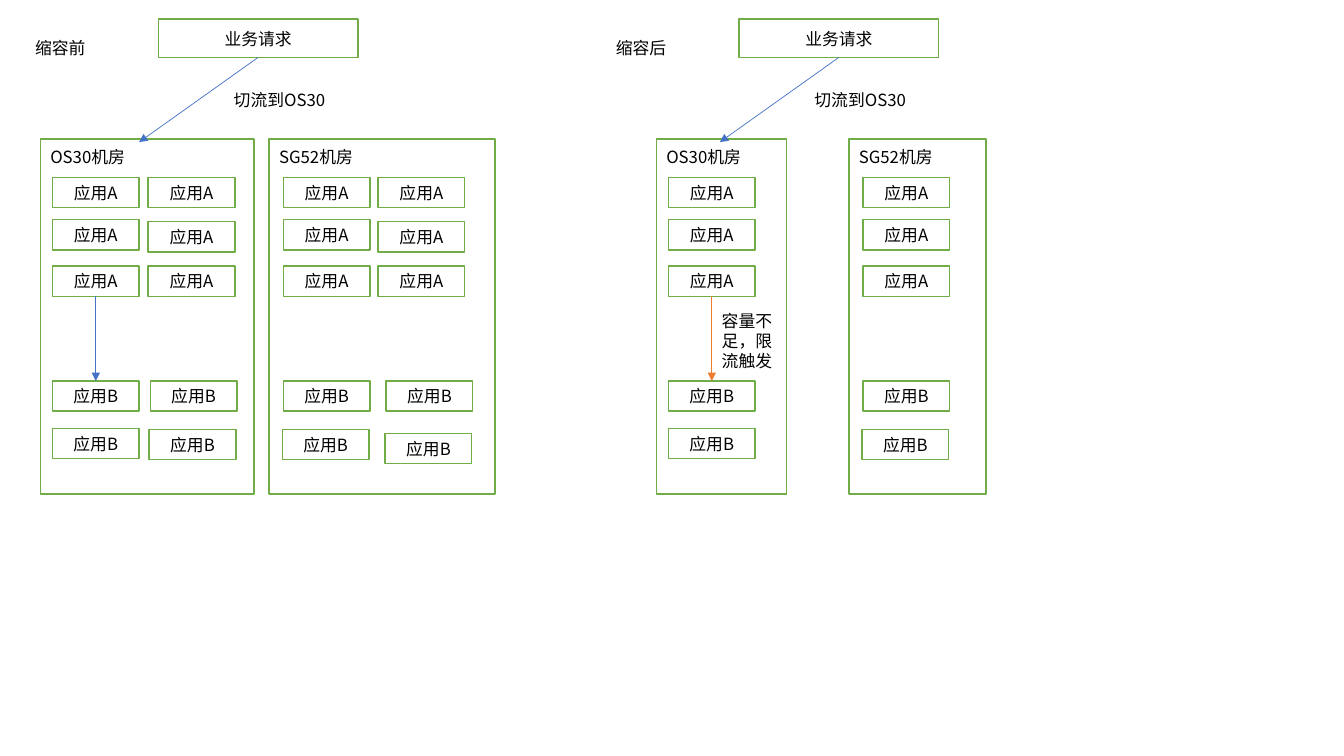
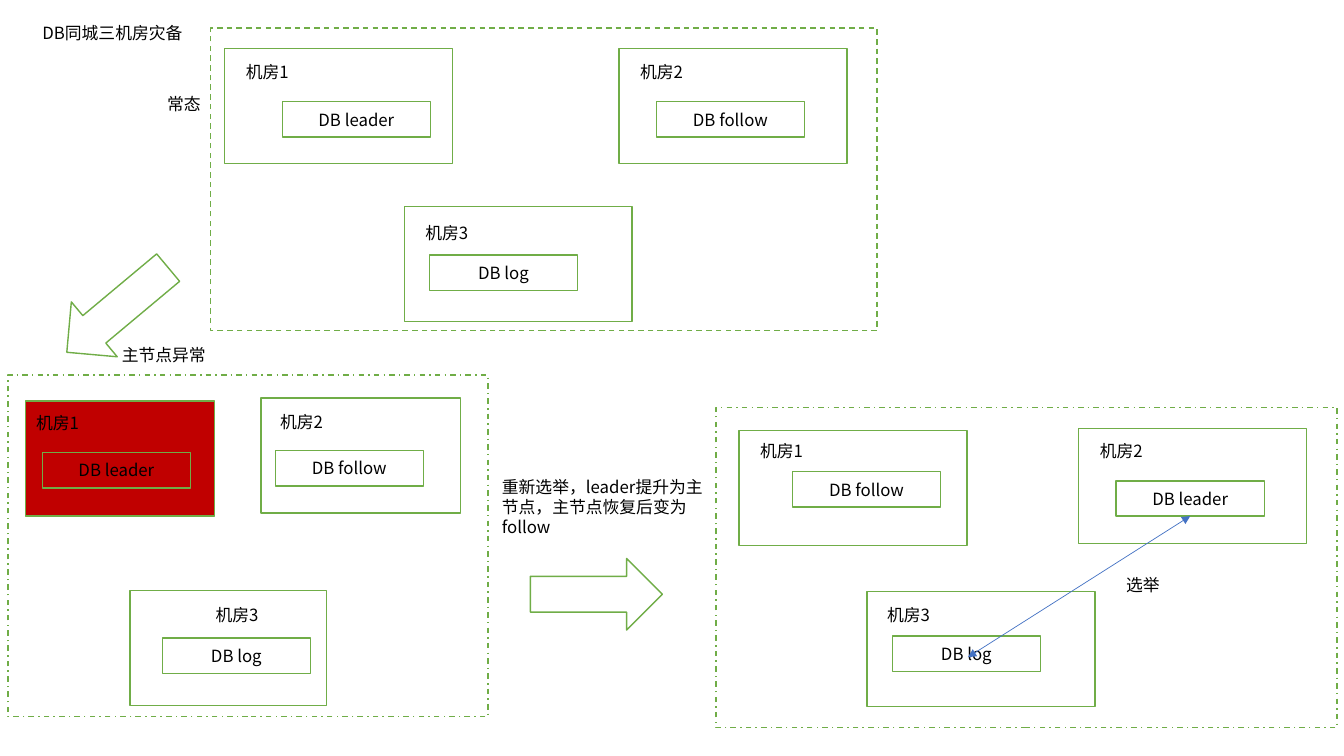
from lxml.etree import SubElement
from pptx import Presentation
from pptx.dml.color import RGBColor as RGB
from pptx.enum.dml import MSO_LINE as Dash
from pptx.enum.shapes import MSO_CONNECTOR as Conn, MSO_SHAPE as Kind
from pptx.enum.text import MSO_ANCHOR as Anchor, MSO_AUTO_SIZE as Fit, PP_ALIGN as Align
from pptx.oxml.ns import qn
from pptx.util import Emu, Pt

PX = 9144
FONT = "Noto Sans CJK SC"
WHITE = RGB(0xFF, 0xFF, 0xFF)
BLACK = RGB(0, 0, 0)
GREEN = RGB(0x70, 0xAD, 0x47)
BLUE = RGB(0x44, 0x72, 0xC4)
ORANGE = RGB(0xED, 0x7D, 0x31)
RED = RGB(0xC0, 0, 0)

TITLE_ONLY, BLANK = 5, 6
SHIFT = 576
ROWS = (176, 218, 264), (176, 220, 264)
OS = "OS30机房", (
    (12, ((12, 378), (12, 425))),
    (107, ((109, 378), (108, 426))),
)
SG = "SG52机房", (
    (14, ((14, 378), (13, 426))),
    (108, ((116, 378), (115, 430))),
)
ZONES = (
    ((710, 404, 616, 318), Dash.DASH_DOT),
    ((8, 372, 476, 339), Dash.DASH_DOT),
    ((209, 28, 661, 300), Dash.DASH),
)
SITES = (
    ("机房1", (223, 48, 226), (234, 56), "DB leader", (280, 101), WHITE),
    ("机房2", (614, 48, 226), (625, 56), "DB follow", (651, 101), WHITE),
    ("机房3", (401, 205, 226), (412, 216), "DB log", (426, 253), WHITE),
    ("机房1", (25, 398, 188), (26, 405), "DB leader", (42, 449), RED),
    ("机房2", (259, 395, 198), (268, 404), "DB follow", (273, 447), WHITE),
    ("机房3", (129, 586, 195), (204, 595), "DB log", (161, 633), WHITE),
    ("机房1", (733, 427, 226), (744, 432), "DB follow", (786, 468), WHITE),
    ("机房3", (860, 587, 226), (870, 595), "DB log", (885, 631), WHITE),
    ("机房2", (1070, 425, 226), (1081, 432), "DB leader", (1107, 477), WHITE),
)
NOTES = (
    ("常态", (156, 88, 66, 30)),
    ("重新选举，leader提升为主节点，主节点恢复后变为follow", (488, 468, 228, 71)),
    ("主节点异常", (111, 337, 118, 30)),
    ("选举", (1107, 565, 117, 30)),
)


def px(*vals):
    return [Emu(val * PX) for val in vals]


def write(frame, text, align=Align.LEFT, anchor=Anchor.TOP):
    frame.word_wrap = True
    frame.vertical_anchor = anchor
    para = frame.paragraphs[0]
    para.alignment = align
    run = para.add_run()
    run.text = text
    font = run.font
    font.size, font.name = Pt(12), FONT
    font.color.rgb = BLACK
    SubElement(font._element, qn("a:ea"), typeface=FONT)


def label(slide, text, at):
    frame = slide.shapes.add_textbox(*px(*at)).text_frame
    frame.auto_size = Fit.SHAPE_TO_FIT_TEXT
    write(frame, text)


def head(slide, text, at):
    title = slide.shapes.title
    title.left, title.top, title.width, title.height = px(*at)
    title.text_frame.auto_size = Fit.NONE
    write(title.text_frame, text)


def box(slide, at, text="", fill=WHITE, kind=Kind.RECTANGLE, dash=None):
    shape = slide.shapes.add_shape(kind, *px(*at))
    shape.shadow.inherit = False
    shape.fill.solid()
    shape.fill.fore_color.rgb = fill
    shape.line.color.rgb = GREEN
    shape.line.width = Pt(1)
    if dash:
        shape.line.dash_style = dash
    if text:
        write(shape.text_frame, text, Align.CENTER, Anchor.MIDDLE)
    return shape


def link(slide, start, end=(0, 0), goal=None, color=BLUE, both=False):
    line = slide.shapes.add_connector(Conn.STRAIGHT, *px(0, 0, *end))
    line.begin_connect(start, 2)
    if goal:
        line.end_connect(goal, 0)
    line.line.color.rgb = color
    line.line.width = Pt(0.5)
    pen = line.line._get_or_add_ln()
    for tag in ("a:headEnd", "a:tailEnd") if both else ("a:tailEnd",):
        SubElement(pen, qn(tag), type="triangle")
    SubElement(line._element.spPr, qn("a:effectLst"))


def room(slide, plan, left, width, count):
    name, cols = plan
    box(slide, (left, 138, width, 352))
    label(slide, name, (left, 141, 141, 30))
    nodes = []
    for (col, spots), rows in zip(cols[:count], ROWS):
        for top in rows:
            nodes.append(box(slide, (left + col, top, 86, 30), "应用A"))
        for dx, top in spots:
            nodes.append(box(slide, (left + dx, top, 86, 30), "应用B"))
    return nodes


def state(slide, name, dx, os, sg, count, color):
    room(slide, SG, *sg, count)
    nodes = room(slide, OS, *os, count)
    label(slide, name, (25 + dx, 33, 178, 30))
    entry = box(slide, (157 + dx, 19, 198, 38), "业务请求")
    link(slide, entry, (138 + dx, 141))
    link(slide, nodes[2], goal=nodes[3], color=color)
    label(slide, "切流到OS30", (222 + dx, 84, 120, 30))


def site(slide, name, at, tag, role, spot, fill):
    box(slide, (*at, 114), fill=fill)
    label(slide, name, (*tag, 97, 30))
    return box(slide, (*spot, 147, 35), role, fill)


def scale(deck):
    slide = deck.slides.add_slide(deck.slide_layouts[BLANK])
    state(slide, "缩容前", 0, (40, 212), (267, 224), 2, BLUE)
    state(slide, "缩容后", SHIFT, (651, 129), (842, 136), 1, ORANGE)
    label(slide, "容量不足，限流触发", (706, 303, 81, 71))


def elect(deck):
    slide = deck.slides.add_slide(deck.slide_layouts[TITLE_ONLY])
    head(slide, "DB同城三机房灾备", (32, 18, 172, 30))
    for at, dash in ZONES:
        box(slide, at, dash=dash)
    dbs = [site(slide, *row) for row in SITES]
    link(slide, dbs[-1], (960, 652), both=True)
    for at, turn in ((51, 272), 140.1), ((526, 554), 0):
        box(slide, (*at, 131, 71), kind=Kind.RIGHT_ARROW).rotation = turn
    for text, at in NOTES:
        label(slide, text, at)


def main():
    """Build the capacity and database failover slides."""
    deck = Presentation()
    deck.slide_width, deck.slide_height = px(1333, 750)
    scale(deck)
    elect(deck)
    deck.save("out.pptx")


if __name__ == "__main__":
    main()
